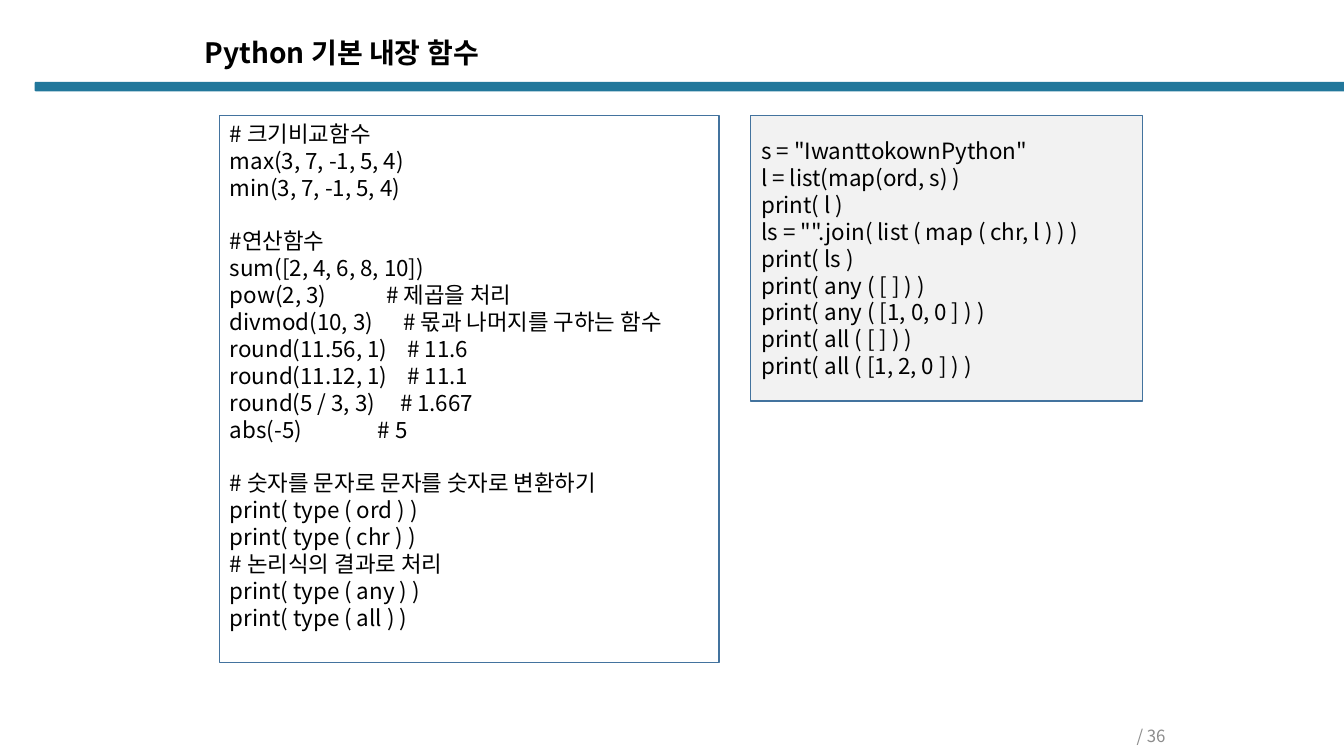
from dataclasses import dataclass

from lxml import etree
from pptx import Presentation
from pptx.dml.color import RGBColor
from pptx.enum.shapes import MSO_SHAPE
from pptx.enum.text import MSO_ANCHOR, PP_ALIGN
from pptx.oxml.ns import qn
from pptx.util import Emu, Pt

RECTANGLE, ROUNDED = MSO_SHAPE.RECTANGLE, MSO_SHAPE.ROUNDED_RECTANGLE
TOP, MIDDLE = MSO_ANCHOR.TOP, MSO_ANCHOR.MIDDLE
LEFT, RIGHT = PP_ALIGN.LEFT, PP_ALIGN.RIGHT


@dataclass(frozen=True)
class Theme:
    font: str = "Noto Sans CJK KR"
    ink: str = "000000"
    muted: str = "8C8C8C"
    bar: str = "22779B"
    border: str = "43739E"
    panel: str = "F2F2F2"
    title_size: float = 20
    code_size: float = 16
    footer_size: float = 12
    code_line: float = 19.2


THEME = Theme()

# Groups of lines; a pair is code and its comment, with the comment's offset in px
BUILTIN_GROUPS = [
    ["# 크기비교함수", "max(3, 7, -1, 5, 4)", "min(3, 7, -1, 5, 4)"],
    [
        "#연산함수",
        "sum([2, 4, 6, 8, 10])",
        ("pow(2, 3)", "# 제곱을 처리", 149),
        ("divmod(10, 3)", "# 몫과 나머지를 구하는 함수", 165),
        ("round(11.56, 1)", "# 11.6", 169),
        ("round(11.12, 1)", "# 11.1", 169),
        ("round(5 / 3, 3)", "# 1.667", 162),
        ("abs(-5)", "# 5", 141),
    ],
    [
        "# 숫자를 문자로 문자를 숫자로 변환하기",
        "print( type ( ord ) )",
        "print( type ( chr ) )",
        "# 논리식의 결과로 처리",
        "print( type ( any ) )",
        "print( type ( all ) )",
    ],
]
EXAMPLE_GROUPS = [[
    's = "IwanttokownPython"',
    "l = list(map(ord, s) )",
    "print( l )",
    'ls = "".join( list ( map ( chr, l ) ) )',
    "print( ls )",
    "print( any ( [ ] ) )",
    "print( any ( [1, 0, 0 ] ) )",
    "print( all ( [ ] ) )",
    "print( all ( [1, 2, 0 ] ) )",
]]


def px(value):
    return Emu(value * 9525)


def color(value):
    return RGBColor.from_string(value)


def set_attributes(target, values):
    for name, value in values.items():
        setattr(target, name, value)


def place(shape, box):
    set_attributes(shape, dict(zip(("left", "top", "width", "height"), map(px, box))))


def format_frame(frame, anchor, bottom=5):
    set_attributes(frame, {
        "word_wrap": True, "vertical_anchor": anchor,
        "margin_left": px(10), "margin_right": px(10),
        "margin_top": px(5), "margin_bottom": px(bottom),
    })


def write(paragraph, text, size, ink=THEME.ink, bold=False, **layout):
    set_attributes(paragraph, layout)
    run = paragraph.add_run()
    run.text = text
    set_attributes(run.font, {"name": THEME.font, "size": Pt(size), "bold": bold})
    run.font.color.rgb = color(ink)
    east_asian = etree.SubElement(run.font._element, qn("a:ea"))
    east_asian.set("typeface", THEME.font)


def add_tab_stop(paragraph, offset):
    tabs = etree.SubElement(paragraph._p.get_or_add_pPr(), qn("a:tabLst"))
    etree.SubElement(tabs, qn("a:tab"), pos=str(px(offset)), algn="l")


def add_header(slide, bar_box, title_box):
    bar = slide.shapes.add_shape(ROUNDED, *map(px, bar_box))
    bar.shadow.inherit = False
    bar.adjustments[0] = 0.13
    bar.fill.solid()
    bar.fill.fore_color.rgb = color(THEME.bar)
    bar.line.fill.background()

    title = slide.shapes.title
    place(title, title_box)
    format_frame(title.text_frame, TOP)
    write(title.text_frame.paragraphs[0], "Python 기본 내장 함수", THEME.title_size,
          bold=True, alignment=LEFT, line_spacing=0.9)


def add_code_panel(slide, box, groups, fill=None, bottom=5):
    panel = slide.shapes.add_shape(RECTANGLE, *map(px, box))
    panel.shadow.inherit = False
    if fill:
        panel.fill.solid()
        panel.fill.fore_color.rgb = color(fill)
    else:
        panel.fill.background()
    panel.line.color.rgb = color(THEME.border)
    panel.line.width = Pt(1)

    frame = panel.text_frame
    format_frame(frame, MIDDLE, bottom)
    for group_index, group in enumerate(groups):
        for line_index, line in enumerate(group):
            first = group_index == line_index == 0
            paragraph = frame.paragraphs[0] if first else frame.add_paragraph()
            opens_group = line_index == 0 and not first
            layout = {"alignment": LEFT, "line_spacing": Pt(THEME.code_line),
                      "space_before": Pt(THEME.code_line if opens_group else 0)}
            text = line
            if isinstance(line, tuple):
                code, comment, offset = line
                text = f"{code}\t{comment}"
            write(paragraph, text, THEME.code_size, **layout)
            if isinstance(line, tuple):
                add_tab_stop(paragraph, offset)


def add_page_count(slide, box):
    footer = slide.shapes.add_textbox(*map(px, box))
    format_frame(footer.text_frame, MIDDLE)
    write(footer.text_frame.paragraphs[0], "/ 36", THEME.footer_size,
          THEME.muted, alignment=RIGHT)


def main():
    presentation = Presentation()
    presentation.slide_width, presentation.slide_height = px(1280), px(720)
    slide = presentation.slides.add_slide(presentation.slide_layouts[5])
    add_header(slide, (33, 78, 1250, 9), (185, 32, 569, 45))
    add_code_panel(slide, (209, 110, 476, 521), BUILTIN_GROUPS, bottom=31)
    add_code_panel(slide, (715, 110, 373, 272), EXAMPLE_GROUPS, fill=THEME.panel)
    add_page_count(slide, (896, 690, 224, 22))
    presentation.save("out.pptx")


if __name__ == "__main__":
    main()
